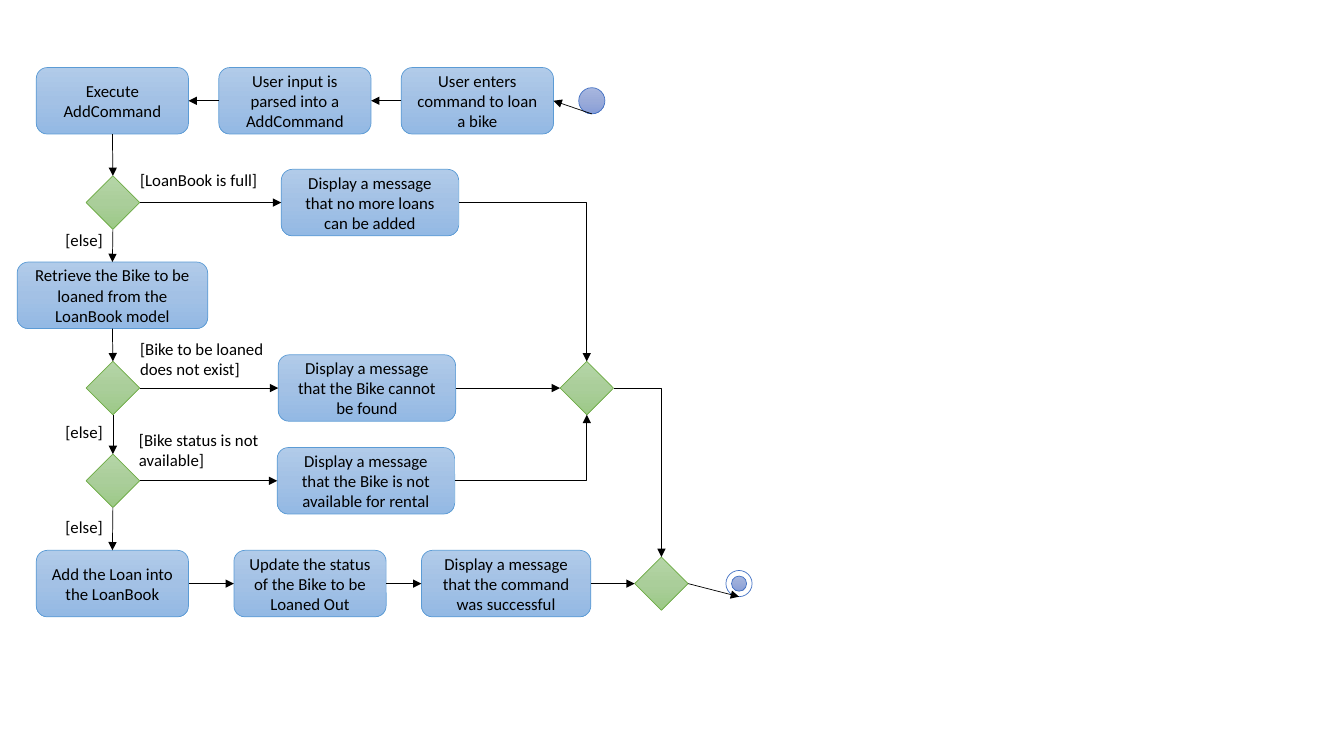
from copy import deepcopy
from dataclasses import dataclass

from lxml import etree
from pptx import Presentation
from pptx.dml.color import RGBColor
from pptx.enum.shapes import MSO_CONNECTOR as Connector, MSO_SHAPE as Shape
from pptx.enum.text import MSO_ANCHOR as Anchor, MSO_AUTO_SIZE as AutoSize, PP_ALIGN as Align
from pptx.oxml.ns import qn
from pptx.util import Inches, Pt


@dataclass(frozen=True)
class Theme:
    font: str = "Calibri"
    size: float = 12
    line: float = 0.5
    ink: str = "000000"
    white: tuple = ("FFFFFF",)
    step: tuple = ("B1CBE9", "A3C1E5", "93B9E4")
    step_edge: str = "5B9BD5"
    decision: tuple = ("B5D5A7", "AACE9A", "9CC987")
    decision_edge: str = "70AD47"
    terminal: tuple = ("A8B7DF", "9AABD9", "889ED7")
    terminal_edge: str = "4472C4"


THEME = Theme()

# Content: row centres, then every part of the flow placed on a row
ROWS = {"command": 1.0, "full": 2.01, "retrieve": 2.93,
        "exists": 3.85, "available": 4.77, "finish": 5.79}
FLOW_X = 1.12
STEP_HEIGHT, DIAMOND, CIRCLE, CORE = 0.66, 0.53, 0.26, 0.15

STEPS = {  # name: (row, left, width, text)
    "enter": ("command", 3.98, 1.51, "User enters command to loan a bike"),
    "parse": ("command", 2.17, 1.51, "User input is parsed into a AddCommand"),
    "execute": ("command", 0.36, 1.51, "Execute AddCommand"),
    "no more loans": ("full", 2.79, 1.76, "Display a message that no more loans can be added"),
    "retrieve": ("retrieve", 0.17, 1.89, "Retrieve the Bike to be loaned from the LoanBook model"),
    "not found": ("exists", 2.76, 1.76, "Display a message that the Bike cannot be found"),
    "not available": ("available", 2.75, 1.76,
                      "Display a message that the Bike is not available for rental"),
    "add loan": ("finish", 0.36, 1.51, "Add the Loan into the LoanBook"),
    "update": ("finish", 2.32, 1.51, "Update the status of the Bike to be Loaned Out"),
    "success": ("finish", 4.18, 1.68, "Display a message that the command was successful"),
}
DECISIONS = {  # name: (row, centre x)
    "full?": ("full", FLOW_X), "exists?": ("exists", FLOW_X),
    "available?": ("available", FLOW_X),
    "merge errors": ("exists", 5.82), "merge all": ("finish", 6.56),
}
GUARDS = [  # (left, top, width, height, text)
    (1.29, 1.63, 1.51, 0.3, "[LoanBook is full]"),
    (1.29, 3.31, 1.51, 0.5, "[Bike to be loaned does not exist]"),
    (1.28, 4.21, 1.51, 0.5, "[Bike status is not available]"),
] + [(0.55, top, 0.61, 0.3, "[else]") for top in (2.23, 4.13, 5.08)]
FLOWS = [  # (sides left and entered, names in order)
    ("left", "right", ["start", "enter", "parse", "execute"]),
    ("bottom", "top", ["execute", "full?", "retrieve", "exists?", "available?", "add loan"]),
    ("right", "left", ["full?", "no more loans"]),
    ("right", "left", ["exists?", "not found", "merge errors"]),
    ("right", "left", ["available?", "not available"]),
    ("right", "left", ["add loan", "update", "success", "merge all", "end"]),
    ("right", "top", ["no more loans", "merge errors"]),
    ("right", "bottom", ["not available", "merge errors"]),
    ("right", "top", ["merge errors", "merge all"]),
]
SIDES = ["top", "left", "bottom", "right"]

deck = Presentation()
deck.slide_width, deck.slide_height = Inches(13.33), Inches(7.5)
slide = deck.slides.add_slide(deck.slide_layouts[6])
canvas = slide.shapes


def write(frame, text, align=Align.LEFT, anchor=Anchor.TOP, fit=AutoSize.NONE):
    frame.word_wrap, frame.auto_size, frame.vertical_anchor = True, fit, anchor
    paragraph = frame.paragraphs[0]
    paragraph.alignment = align
    run = paragraph.add_run()
    run.text = text
    run.font.name, run.font.size = THEME.font, Pt(THEME.size)
    run.font.color.rgb = RGBColor.from_string(THEME.ink)


def paint(node, colours):
    if len(colours) == 1:
        node.fill.solid()
        node.fill.fore_color.rgb = RGBColor.from_string(colours[0])
        return
    node.fill.gradient()
    node.fill.gradient_angle = 270
    stops = node.element.spPr.find(qn("a:gradFill")).find(qn("a:gsLst"))
    stops.insert(1, deepcopy(stops[0]))
    for i, (stop, colour) in enumerate(zip(node.fill.gradient_stops, colours)):
        stop.position = i / (len(colours) - 1)
        stop.color.rgb = RGBColor.from_string(colour)


def add_node(kind, x, y, width, height, colours, edge):
    """Add a shape centred on x, y."""
    node = canvas.add_shape(kind, Inches(x - width / 2), Inches(y - height / 2),
                            Inches(width), Inches(height))
    node.shadow.inherit = False
    paint(node, colours)
    node.line.color.rgb = RGBColor.from_string(edge)
    node.line.width = Pt(THEME.line)
    return node


def add_circle(x, row, size, colours):
    return add_node(Shape.OVAL, x, ROWS[row], size, size, colours, THEME.terminal_edge)


def site(node, side):
    # A circle has eight connection sites, the other shapes four
    return SIDES.index(side) * (2 if node.auto_shape_type == Shape.OVAL else 1)


def connect(source, leaving, target, entering):
    corner = (SIDES.index(leaving) - SIDES.index(entering)) % 2 == 1
    arrow = canvas.add_connector(Connector.ELBOW if corner else Connector.STRAIGHT, 0, 0, 0, 0)
    arrow.begin_connect(source, site(source, leaving))
    arrow.end_connect(target, site(target, entering))
    arrow.line.color.rgb = RGBColor.from_string(THEME.ink)
    arrow.line.width = Pt(THEME.line)
    properties = arrow.element.spPr
    if corner:
        properties.find(qn("a:prstGeom")).set("prst", "bentConnector2")
    etree.SubElement(properties.find(qn("a:ln")), qn("a:tailEnd"), type="triangle")
    etree.SubElement(properties, qn("a:effectLst"))


# Start and end nodes
nodes = {"start": add_circle(5.87, "command", CIRCLE, THEME.terminal),
         "end": add_circle(7.33, "finish", CIRCLE, THEME.white)}
end_core = add_circle(7.33, "finish", CORE, THEME.terminal)
canvas.add_group_shape([nodes["end"], end_core])

# Steps and decisions
for name, (row, left, width, text) in STEPS.items():
    nodes[name] = add_node(Shape.ROUNDED_RECTANGLE, left + width / 2, ROWS[row], width,
                           STEP_HEIGHT, THEME.step, THEME.step_edge)
    write(nodes[name].text_frame, text, align=Align.CENTER, anchor=Anchor.MIDDLE)
for name, (row, x) in DECISIONS.items():
    nodes[name] = add_node(Shape.DIAMOND, x, ROWS[row], DIAMOND, DIAMOND,
                           THEME.decision, THEME.decision_edge)

# Guards beside the decisions
for *place, text in GUARDS:
    guard = canvas.add_textbox(*map(Inches, place))
    write(guard.text_frame, text, fit=AutoSize.SHAPE_TO_FIT_TEXT)

# Arrows
for leaving, entering, names in FLOWS:
    for source, target in zip(names, names[1:]):
        connect(nodes[source], leaving, nodes[target], entering)

deck.save("out.pptx")
